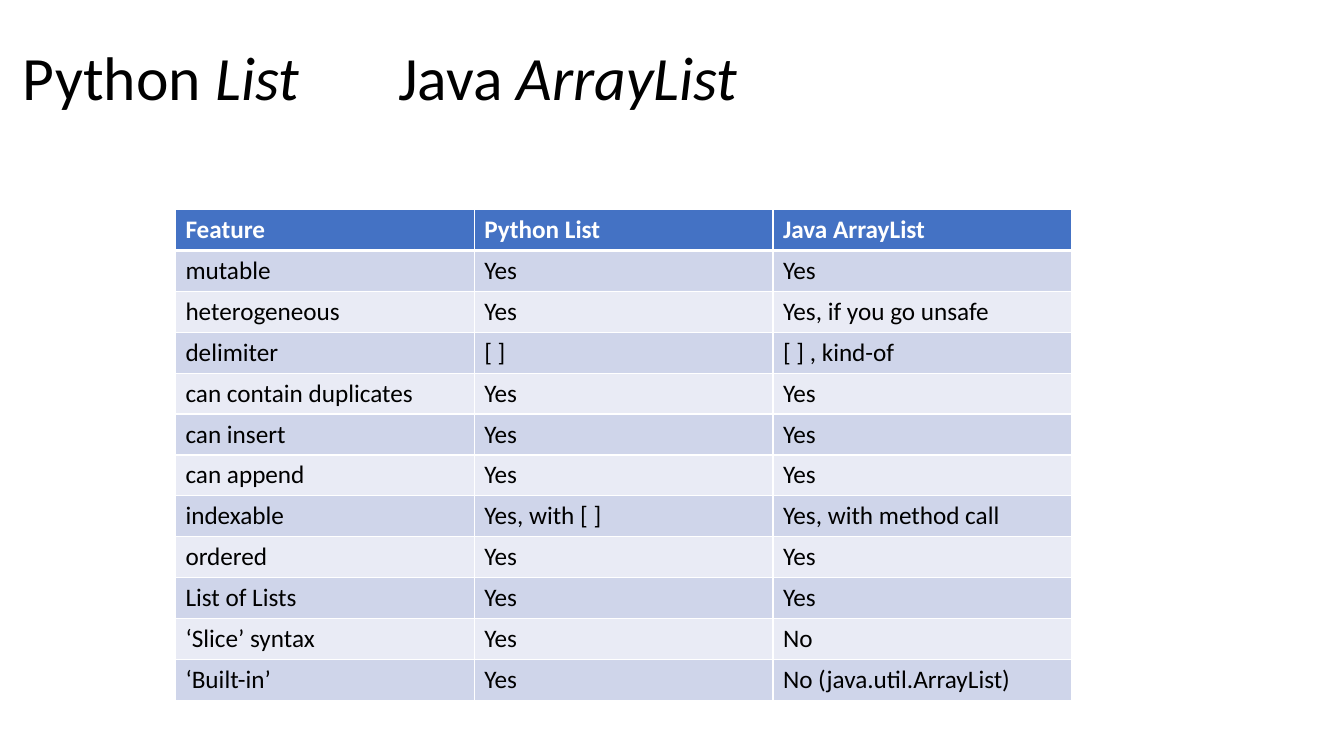
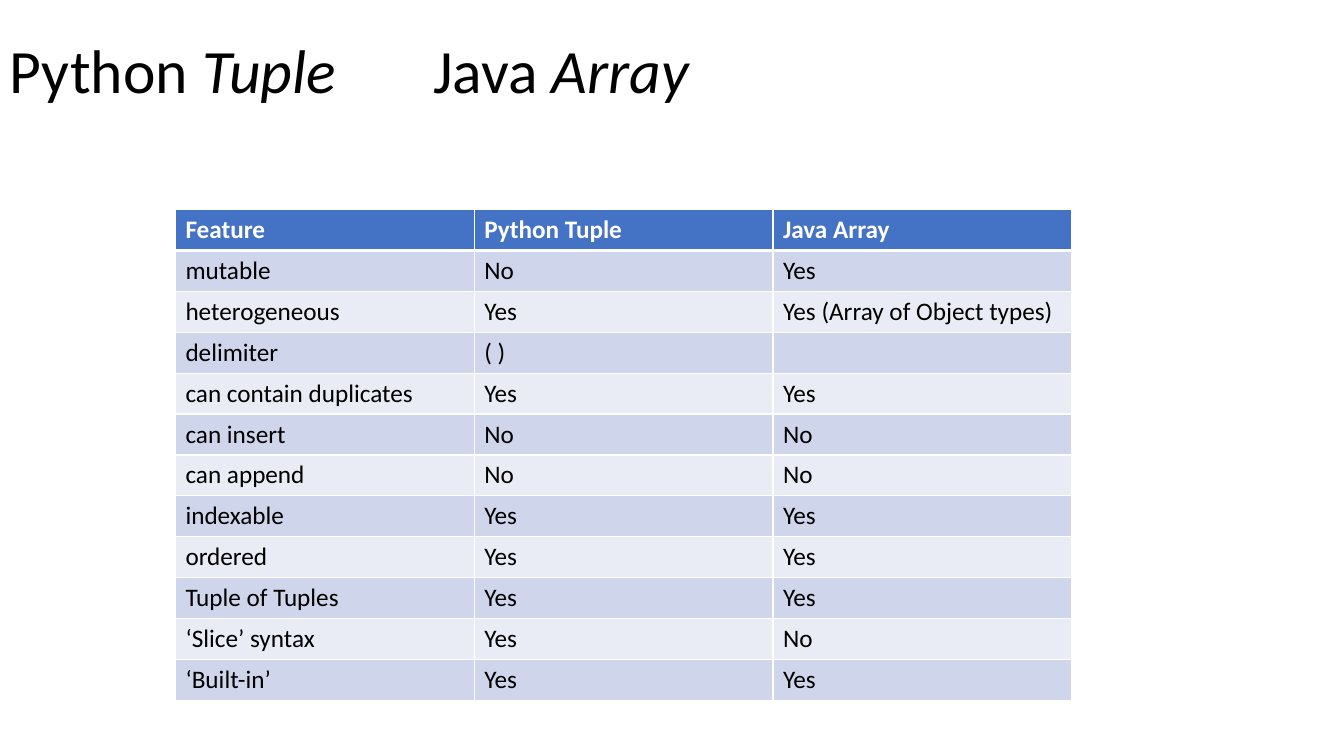
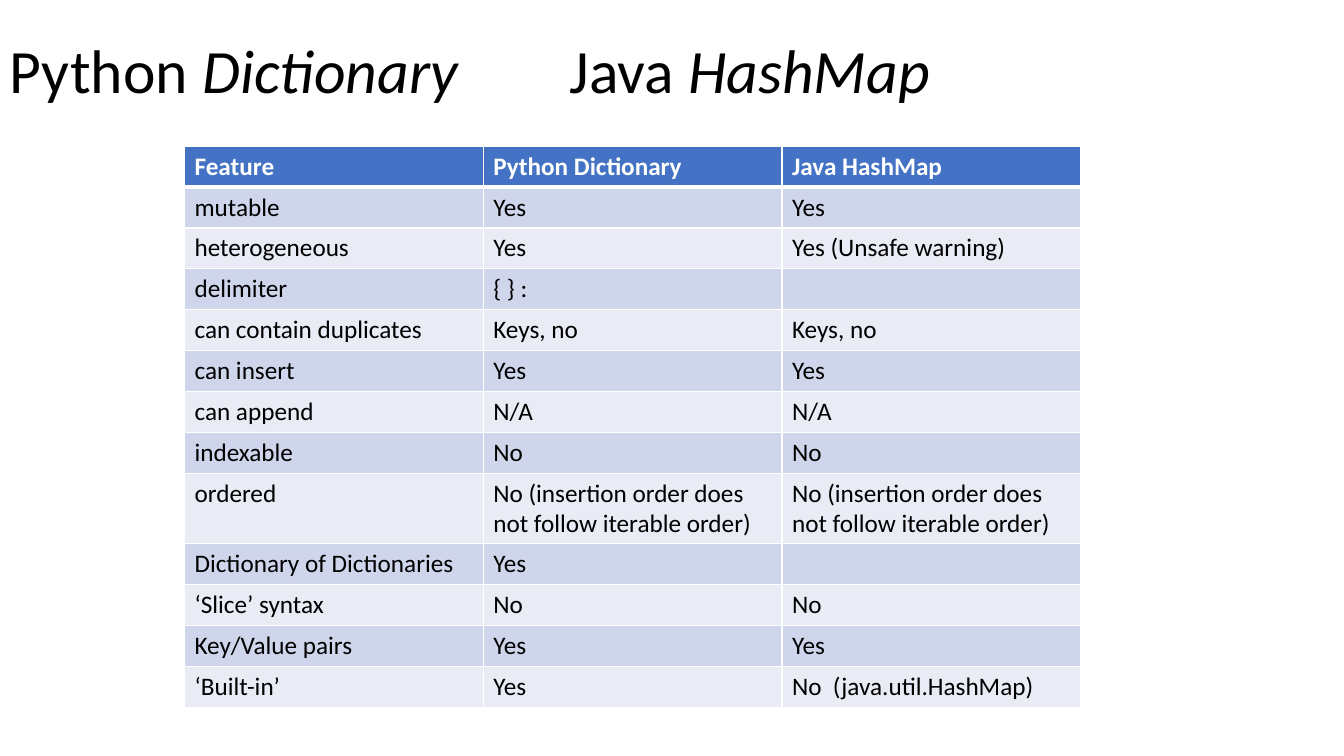
from lxml.etree import SubElement
from pptx import Presentation
from pptx.dml.color import RGBColor
from pptx.enum.text import MSO_ANCHOR
from pptx.oxml.ns import qn
from pptx.util import Inches, Pt

BLACK, WHITE = "000000", "FFFFFF"
HEADER_FILL = "4472C4"
BAND_FILLS = ["E9EBF5", "CFD5EA"]
COLUMN_WIDTH = 8.89 / 3
ROW_HEIGHT = 4.87 / 12
ITERATION_ORDER = "No (insertion order does not follow iterable order)"

# Each comparison: title position, Java tab stop, table position, rows
comparisons = [
    {
        "types": ("List", "ArrayList"),
        "title_at": (0.13, 0.07), "java_tab": 3.72, "table_at": (1.74, 2.08),
        "rows": [
            ("mutable", "Yes", "Yes"),
            ("heterogeneous", "Yes", "Yes, if you go unsafe"),
            ("delimiter", "[ ]", "[ ] , kind-of"),
            ("can contain duplicates", "Yes", "Yes"),
            ("can insert", "Yes", "Yes"),
            ("can append", "Yes", "Yes"),
            ("indexable", "Yes, with [ ]", "Yes, with method call"),
            ("ordered", "Yes", "Yes"),
            ("List of Lists", "Yes", "Yes"),
            ("‘Slice’ syntax", "Yes", "No"),
            ("‘Built-in’", "Yes", "No (java.util.ArrayList)"),
        ],
    },
    {
        "types": ("Tuple", "Array"),
        "title_at": (0, 0), "java_tab": 4.2, "table_at": (1.74, 2.08),
        "rows": [
            ("mutable", "No", "Yes"),
            ("heterogeneous", "Yes", "Yes (Array of Object types)"),
            ("delimiter", "( )", ""),
            ("can contain duplicates", "Yes", "Yes"),
            ("can insert", "No", "No"),
            ("can append", "No", "No"),
            ("indexable", "Yes", "Yes"),
            ("ordered", "Yes", "Yes"),
            ("Tuple of Tuples", "Yes", "Yes"),
            ("‘Slice’ syntax", "Yes", "No"),
            ("‘Built-in’", "Yes", "Yes"),
        ],
    },
    {
        "types": ("Dictionary", "HashMap"),
        "title_at": (0, 0), "java_tab": 5.55, "table_at": (1.83, 1.45),
        "rows": [
            ("mutable", "Yes", "Yes"),
            ("heterogeneous", "Yes", "Yes (Unsafe warning)"),
            ("delimiter", "{ } :", ""),
            ("can contain duplicates", "Keys, no", "Keys, no"),
            ("can insert", "Yes", "Yes"),
            ("can append", "N/A", "N/A"),
            ("indexable", "No", "No"),
            ("ordered", ITERATION_ORDER, ITERATION_ORDER),
            ("Dictionary of Dictionaries", "Yes", ""),
            ("‘Slice’ syntax", "No", "No"),
            ("Key/Value pairs", "Yes", "Yes"),
            ("‘Built-in’", "Yes", "No  (java.util.HashMap)"),
        ],
    },
]


def write(paragraph, text, size=18, color=BLACK, bold=False, italic=False):
    run = paragraph.add_run()
    run.text = text
    run.font.name = "Calibri"
    run.font.size = Pt(size)
    run.font.bold = bold
    run.font.italic = italic
    run.font.color.rgb = RGBColor.from_string(color)


def style_cell(cell, fill, top, bottom):
    """Give a cell white borders (top and bottom in points) and a fill."""
    properties = cell._tc.get_or_add_tcPr()
    for side, width in (("L", 1), ("R", 1), ("T", top), ("B", bottom)):
        border = SubElement(properties, qn(f"a:ln{side}"), w=str(Pt(width)))
        SubElement(SubElement(border, qn("a:solidFill")), qn("a:srgbClr"), val=WHITE)
    cell.fill.solid()
    cell.fill.fore_color.rgb = RGBColor.from_string(fill)


deck = Presentation()
deck.slide_width, deck.slide_height = Inches(13.33), Inches(7.5)

for comparison in comparisons:
    slide = deck.slides.add_slide(deck.slide_layouts[6])
    python_type, java_type = comparison["types"]

    left, top = comparison["title_at"]
    title = slide.shapes.add_textbox(
        Inches(left), Inches(top), Inches(11.5), Inches(1.45)).text_frame
    title.word_wrap = True
    title.vertical_anchor = MSO_ANCHOR.MIDDLE
    heading = title.paragraphs[0]
    heading.line_spacing = 0.9
    tabs = SubElement(heading._p.get_or_add_pPr(), qn("a:tabLst"))
    SubElement(tabs, qn("a:tab"), pos=str(Inches(comparison["java_tab"])), algn="l")
    write(heading, "Python ", size=44)
    write(heading, python_type, size=44, italic=True)
    write(heading, "\tJava ", size=44)
    write(heading, java_type, size=44, italic=True)

    header = ("Feature", f"Python {python_type}", f"Java {java_type}")
    rows = [header, *comparison["rows"]]
    left, top = comparison["table_at"]
    features = slide.shapes.add_table(
        len(rows), len(header), Inches(left), Inches(top),
        Inches(COLUMN_WIDTH * len(header)), Inches(ROW_HEIGHT * len(rows))).table
    features.horz_banding = False
    for r, row in enumerate(rows):
        is_header = r == 0
        for c, text in enumerate(row):
            cell = features.cell(r, c)
            style_cell(cell, HEADER_FILL if is_header else BAND_FILLS[r % 2],
                       top=3 if r == 1 else 1, bottom=3 if is_header else 1)
            if text:
                write(cell.text_frame.paragraphs[0], text, bold=is_header,
                      color=WHITE if is_header else BLACK)

deck.save("out.pptx")
